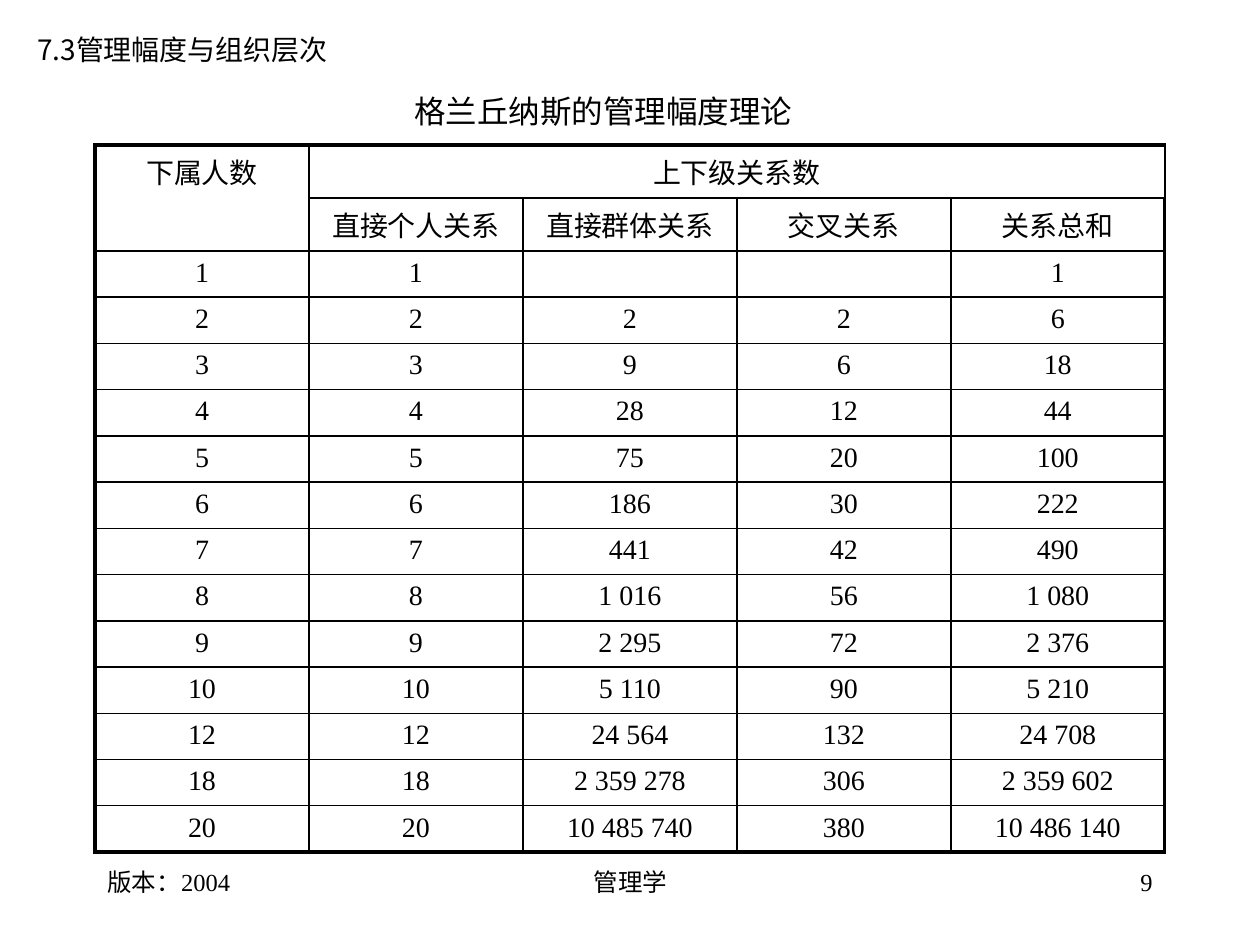
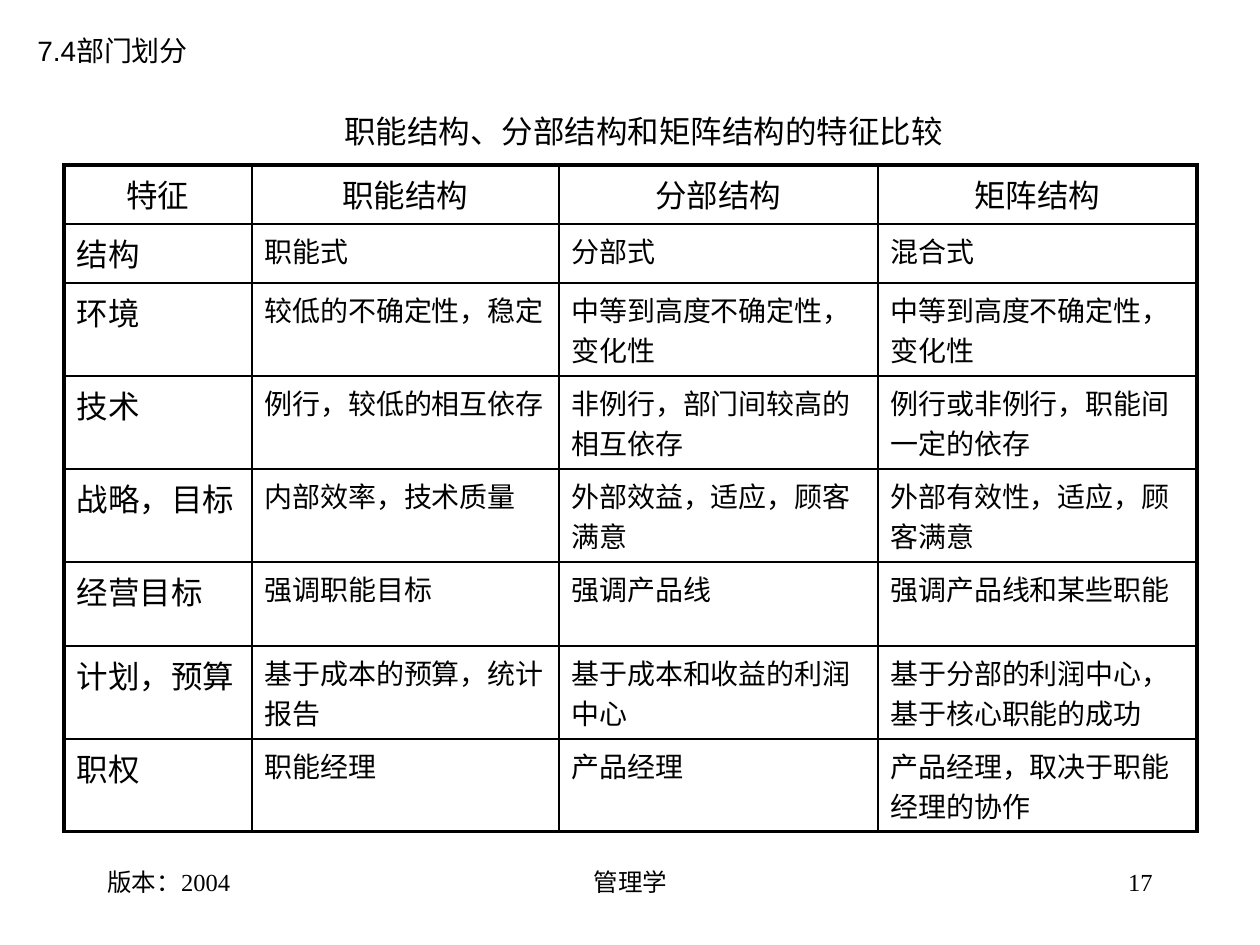
from lxml.etree import SubElement
from pptx import Presentation
from pptx.dml.color import RGBColor
from pptx.enum.text import MSO_ANCHOR, PP_ALIGN
from pptx.oxml.ns import qn
from pptx.util import Emu, Pt

BLACK = "000000"
SERIF, SANS, CHINESE = "Times New Roman", "Arial", "Noto Sans CJK SC"
LEFT, CENTER, RIGHT = PP_ALIGN.LEFT, PP_ALIGN.CENTER, PP_ALIGN.RIGHT
OUTER_LINE, INNER_LINE = 2.25, 1

FOOTER_TOP, FOOTER_HEIGHT = 861, 63
EDITION, COURSE = "版本：2004", "管理学"

SPAN_ROWS = [
    ("下属人数", "上下级关系数", "", "", ""),
    ("", "直接个人关系", "直接群体关系", "交叉关系", "关系总和"),
    ("1", "1", "", "", "1"),
    ("2", "2", "2", "2", "6"),
    ("3", "3", "9", "6", "18"),
    ("4", "4", "28", "12", "44"),
    ("5", "5", "75", "20", "100"),
    ("6", "6", "186", "30", "222"),
    ("7", "7", "441", "42", "490"),
    ("8", "8", "1 016", "56", "1 080"),
    ("9", "9", "2 295", "72", "2 376"),
    ("10", "10", "5 110", "90", "5 210"),
    ("12", "12", "24 564", "132", "24 708"),
    ("18", "18", "2 359 278", "306", "2 359 602"),
    ("20", "20", "10 485 740", "380", "10 486 140"),
]

STRUCTURE_ROWS = [
    ("特征", "职能结构", "分部结构", "矩阵结构"),
    ("结构", "职能式", "分部式", "混合式"),
    ("环境", "较低的不确定性，稳定", "中等到高度不确定性，变化性", "中等到高度不确定性，变化性"),
    ("技术", "例行，较低的相互依存", "非例行，部门间较高的相互依存", "例行或非例行，职能间一定的依存"),
    ("战略，目标", "内部效率，技术质量", "外部效益，适应，顾客满意", "外部有效性，适应，顾客满意"),
    ("经营目标", "强调职能目标", "强调产品线", "强调产品线和某些职能"),
    ("计划，预算", "基于成本的预算，统计报告", "基于成本和收益的利润中心",
     "基于分部的利润中心，基于核心职能的成功"),
    ("职权", "职能经理", "产品经理", "产品经理，取决于职能经理的协作"),
]


def span_format(row, column):
    return {"size": 16, "align": CENTER}


def structure_format(row, column):
    """Headings in the first row and column are larger than the body."""
    return {"size": 18 if row == 0 or column == 0 else 16,
            "align": CENTER if row == 0 else LEFT}


SLIDES = [
    {
        "number": "9",
        "section": {"text": "7.3管理幅度与组织层次", "box": (25, 26, 338, 47), "font": CHINESE},
        "title": {"text": "格兰丘纳斯的管理幅度理论", "box": (402, 86, 417, 50), "font": SERIF},
        "table": {"rows": SPAN_ROWS, "corner": (95, 145), "widths": [214] * 5,
                  "heights": [53] * 2 + [43] * 13, "cell_format": span_format,
                  "merges": [((0, 0), (1, 0)), ((0, 1), (0, 4))]},
    },
    {
        "number": "17",
        "section": {"text": "7.4部门划分", "box": (25, 28, 176, 47), "font": SANS,
                    "line_height": 19},
        "title": {"text": "职能结构、分部结构和矩阵结构的特征比较", "box": (332, 106, 645, 50),
                  "font": SANS},
        "table": {"rows": STRUCTURE_ROWS, "corner": (64, 165), "widths": [188, 307, 319, 319],
                  "heights": [59, 59, 93, 93, 93, 84, 93, 93],
                  "cell_format": structure_format, "merges": []},
    },
]


def px(length):
    return Emu(round(length * 914400 / 126))


def color(value):
    return RGBColor.from_string(value)


def write(frame, text, size=16, font=SERIF, align=LEFT, line_height=None):
    paragraph = frame.paragraphs[0]
    paragraph.alignment = align
    if line_height:
        paragraph.line_spacing = Pt(line_height)
    if not text:
        SubElement(paragraph._p, qn("a:endParaRPr"), sz=str(size * 100))
        return
    run = paragraph.add_run()
    run.text = text
    run.font.size = Pt(size)
    run.font.name = font
    run.font.color.rgb = color(BLACK)
    SubElement(run._r.get_or_add_rPr(), qn("a:ea"), typeface=CHINESE)


def add_text(slide, text, box, **text_format):
    frame = slide.shapes.add_textbox(*map(px, box)).text_frame
    frame.word_wrap = True
    write(frame, text, **text_format)


def set_borders(cell, widths):
    properties = cell._tc.get_or_add_tcPr()
    for side, width in widths.items():
        line = SubElement(properties, qn(f"a:ln{side}"), w=str(Pt(width)))
        fill = SubElement(line, qn("a:solidFill"))
        SubElement(fill, qn("a:srgbClr"), val=BLACK)


def add_grid(slide, rows, corner, widths, heights, cell_format, merges):
    size = (sum(widths), sum(heights))
    table = slide.shapes.add_table(len(rows), len(widths), *map(px, corner + size)).table
    table.first_row = table.horz_banding = False
    for column, width in zip(table.columns, widths):
        column.width = px(width)
    for row, height in zip(table.rows, heights):
        row.height = px(height)
    last_row, last_column = len(rows) - 1, len(widths) - 1
    for row, texts in enumerate(rows):
        for column, text in enumerate(texts):
            cell = table.cell(row, column)
            cell.vertical_anchor = MSO_ANCHOR.TOP
            write(cell.text_frame, text, **cell_format(row, column))
            on_edge = {"L": column == 0, "R": column == last_column,
                       "T": row == 0, "B": row == last_row}
            set_borders(cell, {side: OUTER_LINE if outer else INNER_LINE
                               for side, outer in on_edge.items()})
            cell.fill.background()
    for first, last in merges:
        table.cell(*first).merge(table.cell(*last))


def add_footer(slide, number):
    for text, left, width, align in [(EDITION, 95, 262, LEFT), (COURSE, 431, 399, CENTER),
                                     (number, 903, 262, RIGHT)]:
        add_text(slide, text, (left, FOOTER_TOP, width, FOOTER_HEIGHT), size=14, align=align)


def main():
    presentation = Presentation()
    presentation.slide_width, presentation.slide_height = px(1260), px(945)
    for content in SLIDES:
        slide = presentation.slides.add_slide(presentation.slide_layouts[6])
        add_footer(slide, content["number"])
        add_grid(slide, **content["table"])
        add_text(slide, size=18, **content["title"])
        add_text(slide, size=16, **content["section"])
    presentation.save("out.pptx")


if __name__ == "__main__":
    main()
